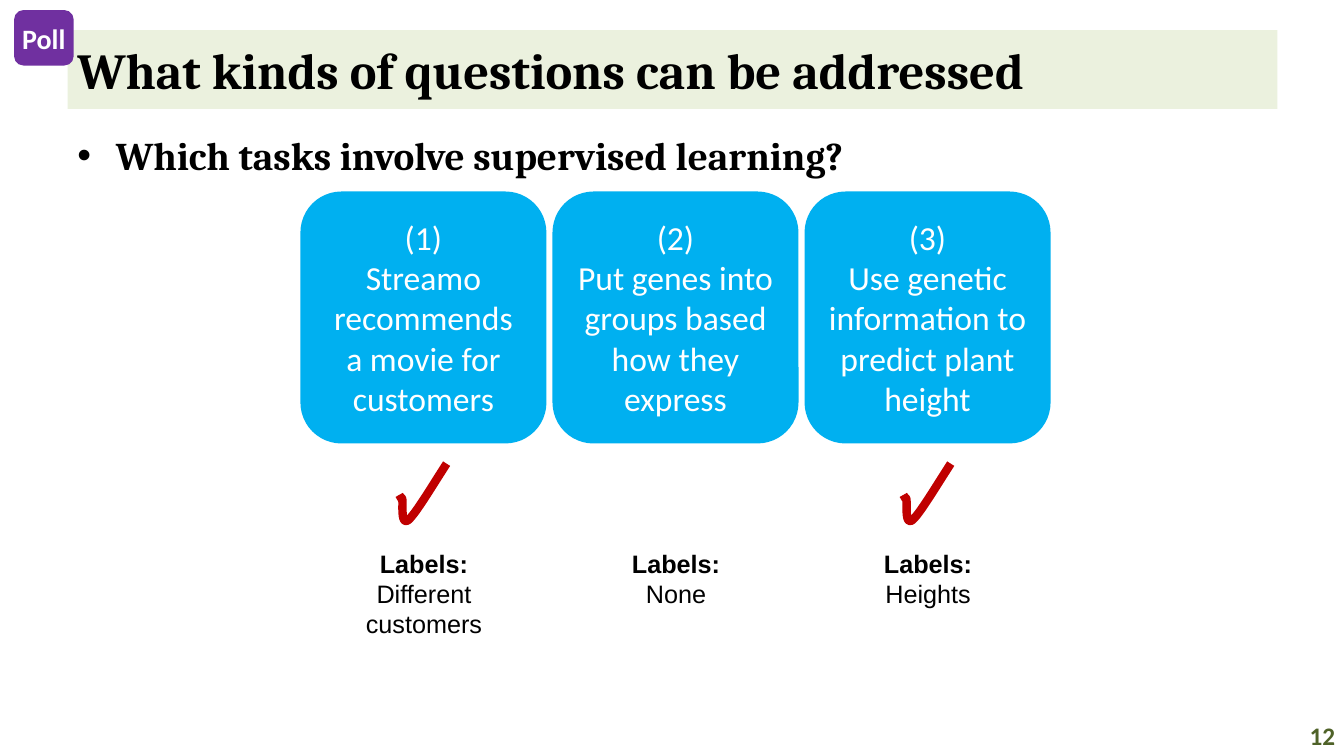
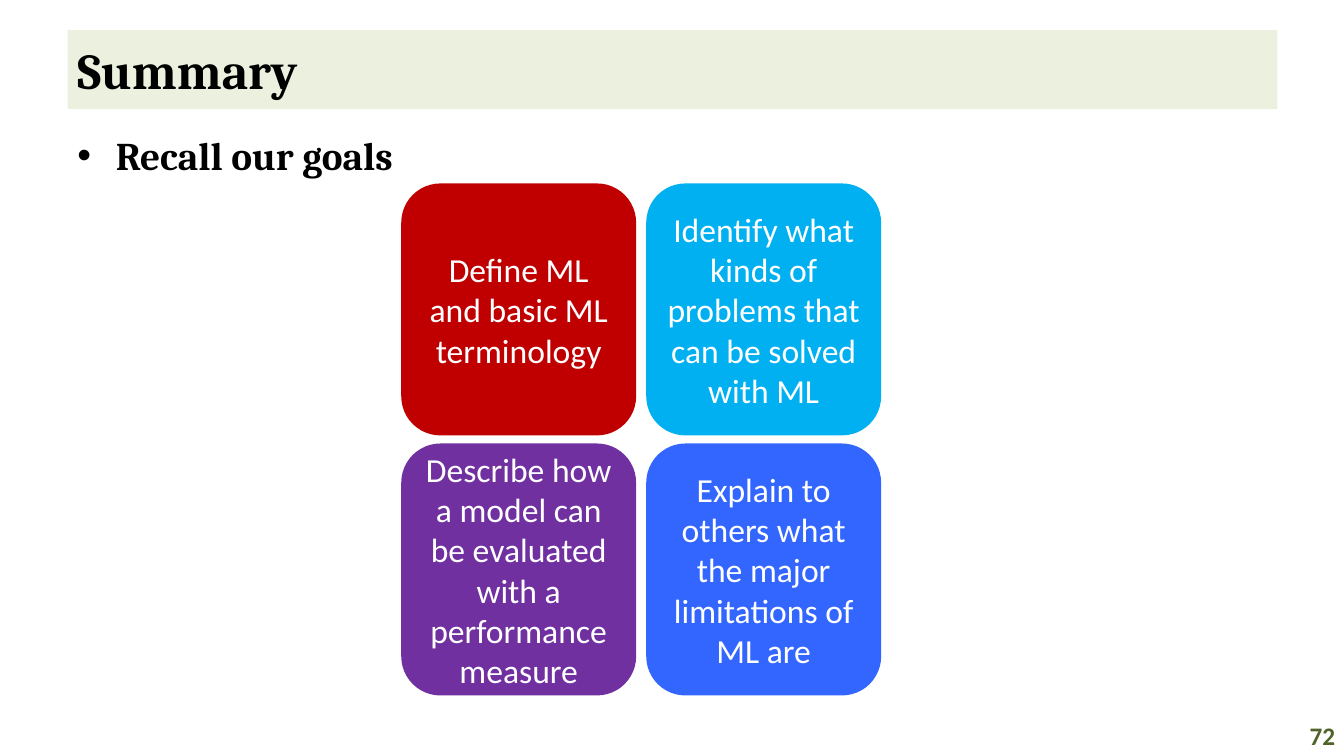
from dataclasses import dataclass
from typing import Optional

from lxml import etree
from pptx import Presentation
from pptx.dml.color import RGBColor
from pptx.enum.shapes import MSO_SHAPE
from pptx.enum.text import MSO_ANCHOR, PP_ALIGN
from pptx.oxml.ns import qn
from pptx.util import Emu, Pt

RECT, ROUND = MSO_SHAPE.RECTANGLE, MSO_SHAPE.ROUNDED_RECTANGLE
TOP, MIDDLE = MSO_ANCHOR.TOP, MSO_ANCHOR.MIDDLE
LEFT, CENTER, RIGHT = PP_ALIGN.LEFT, PP_ALIGN.CENTER, PP_ALIGN.RIGHT

PX = 9144  # EMU per px, 100 px to the inch


@dataclass(frozen=True)
class Font:
    name: str
    size: int
    color: str
    bold: bool = False


@dataclass(frozen=True)
class Theme:
    band: str = "EBF1DE"
    sky: str = "00B0F0"
    red: str = "C00000"
    purple: str = "7030A0"
    blue: str = "3366FF"
    check_width: int = 6
    title: Font = Font("Cambria", 36, "000000", True)
    body: Font = Font("Cambria", 28, "000000", True)
    number: Font = Font("Calibri", 18, "4F6228", True)
    card: Font = Font("Calibri", 24, "FFFFFF")
    badge: Font = Font("Calibri", 20, "FFFFFF", True)
    heading: Font = Font("Arial", 18, "000000", True)
    label: Font = Font("Arial", 18, "000000")


THEME = Theme()


@dataclass(frozen=True)
class Box:
    x: int
    y: int
    w: int
    h: int


@dataclass(frozen=True)
class Task:
    text: str
    labels: str
    label_width: int
    supervised: bool


@dataclass(frozen=True)
class Goal:
    text: str
    color: str


TASKS = [
    Task("(1)\nStreamo recommends a movie for customers", "Different\ncustomers", 137, True),
    Task("(2)\nPut genes into groups based how they express", "None", 109, False),
    Task("(3)\nUse genetic information to predict plant height", "Heights", 109, True),
]
GOALS = [
    Goal("Define ML and basic ML terminology", THEME.red),
    Goal("Identify what kinds of problems that can be solved with ML", THEME.sky),
    Goal("Describe how a model can be evaluated with a performance measure", THEME.purple),
    Goal("Explain to others what the major limitations of ML are", THEME.blue),
]

# Check mark: start point, then cubic curves (two handles and an end point)
CHECK_START = (0, 31)
CHECK_CURVES = [
    ((5, 40), (1, 31), (3, 35)),
    ((4, 39), (1, 62), (9, 56)),
    ((16, 50), (31, 25), (47, 0)),
]
CURVE_STEPS = 12


def rgb(color: str) -> RGBColor:
    return RGBColor.from_string(color)


def format_runs(p, font: Font) -> None:
    for r in p.runs:
        r.font.name = font.name
        r.font.size = Pt(font.size)
        r.font.bold = font.bold
        r.font.color.rgb = rgb(font.color)


def add_box(s, box: Box, text: str, font: Font, fill: Optional[str] = None,
            shape=RECT, align=LEFT, anchor=MIDDLE, wrap: bool = True):
    """Add a filled shape, or a plain text box when there is no fill."""
    place = [Emu(v * PX) for v in (box.x, box.y, box.w, box.h)]
    if fill is None:
        sp = s.shapes.add_textbox(*place)
    else:
        sp = s.shapes.add_shape(shape, *place)
        sp.shadow.inherit = False
        sp.fill.solid()
        sp.fill.fore_color.rgb = rgb(fill)
        sp.line.fill.background()
    tf = sp.text_frame
    tf.text = text
    tf.word_wrap = wrap
    tf.vertical_anchor = anchor
    for p in tf.paragraphs:
        p.alignment = align
        format_runs(p, font)
    return sp


def add_bullet(p) -> None:
    pPr = p._p.get_or_add_pPr()
    pPr.set("marL", str(38 * PX))
    pPr.set("indent", str(-38 * PX))
    etree.SubElement(pPr, qn("a:buFont")).set("typeface", "Arial")
    etree.SubElement(pPr, qn("a:buChar")).set("char", "•")


def add_slide(prs, title: str, body: str, body_width: int, number: int):
    """Add a slide with its title band, bullet and page number."""
    s = prs.slides.add_slide(prs.slide_layouts[6])
    add_box(s, Box(67, 30, 1200, 78), title, THEME.title, THEME.band)
    sp = add_box(s, Box(67, 125, body_width, 585), body, THEME.body, anchor=TOP)
    add_bullet(sp.text_frame.paragraphs[0])
    add_box(s, Box(1267, 710, 67, 40), str(number), THEME.number, align=RIGHT)
    return s


def add_card(s, box: Box, text: str, color: str) -> None:
    add_box(s, box, text, THEME.card, color, ROUND, CENTER)


def add_check(s, x: int, y: int) -> None:
    start = CHECK_START
    points = []
    for c1, c2, end in CHECK_CURVES:
        for step in range(1, CURVE_STEPS + 1):
            t = step / CURVE_STEPS
            u = 1 - t
            points.append(tuple(
                (u**3 * a + 3 * u * u * t * b + 3 * u * t * t * c + t**3 * d) * PX
                for a, b, c, d in zip(start, c1, c2, end)))
        start = end
    builder = s.shapes.build_freeform(CHECK_START[0] * PX, CHECK_START[1] * PX)
    builder.add_line_segments(points, close=False)
    sp = builder.convert_to_shape(x * PX, y * PX)
    sp.shadow.inherit = False
    sp.fill.background()
    sp.line.color.rgb = rgb(THEME.red)
    sp.line.width = Pt(THEME.check_width)


def add_labels(s, center: int, task: Task) -> None:
    text = "Labels:\n" + task.labels
    height = 11 + 30 * len(text.split("\n"))
    box = Box(center - task.label_width // 2, 539, task.label_width, height)
    sp = add_box(s, box, text, THEME.label, align=CENTER, anchor=TOP, wrap=False)
    format_runs(sp.text_frame.paragraphs[0], THEME.heading)


def build_poll(prs) -> None:
    s = add_slide(prs, "What kinds of questions can be addressed",
                  "Which tasks involve supervised learning?", 1200, 12)
    # One column per task: card, check mark, labels
    for i, task in enumerate(TASKS):
        card = Box(298 + 250 * i, 190, 244, 250)
        add_card(s, card, task.text, THEME.sky)
        if task.supervised:
            add_check(s, card.x + 98, 460)
        add_labels(s, card.x + card.w // 2, task)
    # Poll badge
    add_box(s, Box(14, 10, 59, 55), "Poll", THEME.badge, THEME.purple,
            ROUND, CENTER, wrap=False)


def build_summary(prs) -> None:
    s = add_slide(prs, "Summary", "Recall our goals", 589, 72)
    # Two by two grid of goals
    for i, goal in enumerate(GOALS):
        row, col = divmod(i, 2)
        add_card(s, Box(398 + 243 * col, 182 + 258 * row, 233, 250), goal.text, goal.color)


def main() -> None:
    prs = Presentation()
    prs.slide_width = Emu(1333 * PX)
    prs.slide_height = Emu(750 * PX)
    build_poll(prs)
    build_summary(prs)
    prs.save("out.pptx")


if __name__ == "__main__":
    main()
